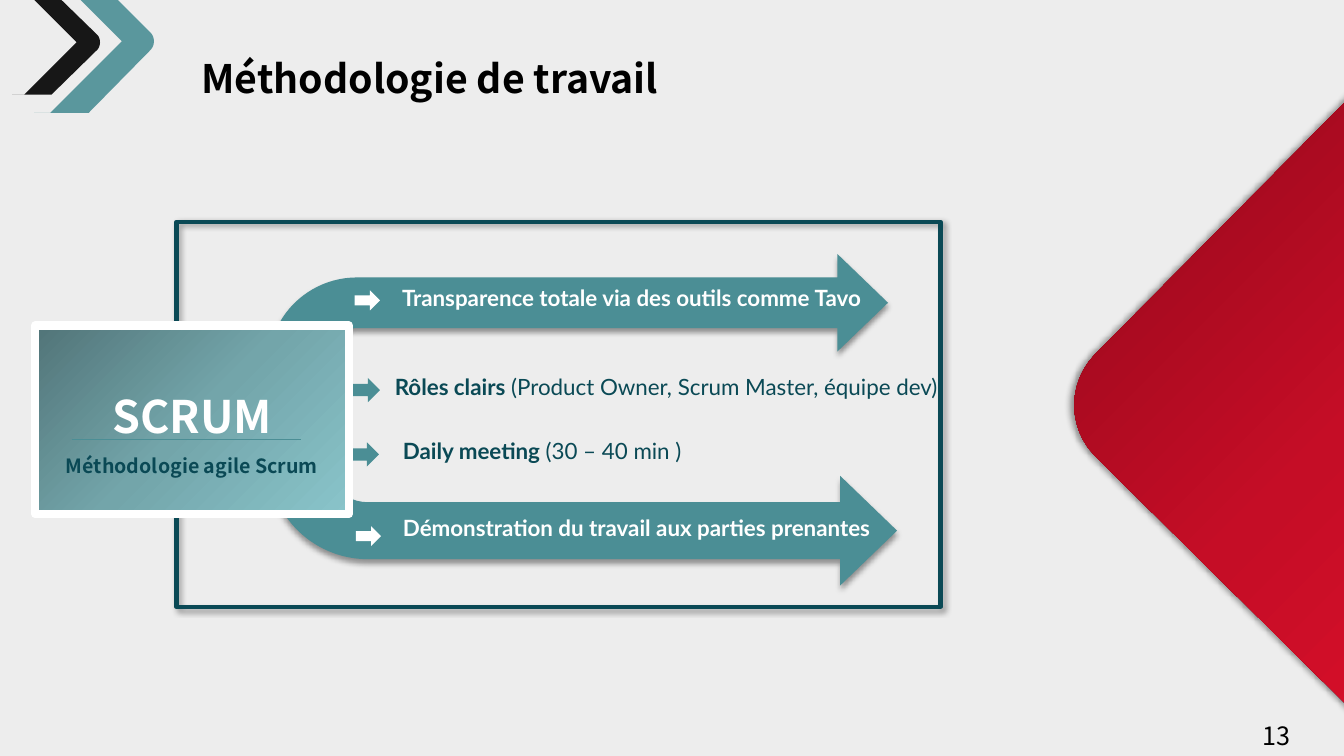
import pptx
import pptx.util
import pptx.dml.color
import pptx.enum.shapes
import pptx.enum.text
import pptx.oxml
import pptx.oxml.ns

Pt = pptx.util.Pt
KIND = pptx.enum.shapes.MSO_SHAPE
ALIGN = pptx.enum.text.PP_ALIGN
MIDDLE = pptx.enum.text.MSO_ANCHOR.MIDDLE
TOP = pptx.enum.text.MSO_ANCHOR.TOP
qn = pptx.oxml.ns.qn
SANS, LATO = "Noto Sans CJK SC", "Lato"
TEAL, NAVY, WHITE, BLACK = "4B8E95", "0A4955", "FFFFFF", "000000"


def color(code):
    return pptx.dml.color.RGBColor.from_string(code)


def node(tag, **attrs):
    item = pptx.oxml.parse_xml(f'<a:{tag} {pptx.oxml.ns.nsdecls("a")}/>')
    for name, value in attrs.items():
        item.set(name, str(value))
    return item


def tint(code, alpha):
    item = node("srgbClr", val=code)
    item.append(node("alpha", val=alpha * 1000))
    return item


def paint(shape, fill=None, alpha=100, line=None, width=0):
    shape.shadow.inherit = False
    if fill:
        shape.fill.solid()
        shape.fill.fore_color.rgb = color(fill)
        if alpha < 100:
            base = shape._element.spPr.find(qn("a:solidFill"))
            base.replace(base[0], tint(fill, alpha))
    else:
        shape.fill.background()
    if line:
        shape.line.color.rgb = color(line)
        shape.line.width = Pt(width)
    else:
        shape.line.fill.background()


def blend(shape, codes, angle):
    shape.fill.gradient()
    grad = shape._element.spPr.find(qn("a:gradFill"))
    for child in list(grad):
        grad.remove(child)
    stops = node("gsLst")
    for index, code in enumerate(codes):
        stop = node("gs", pos=index * 100000 // (len(codes) - 1))
        stop.append(tint(code, 100))
        stops.append(stop)
    grad.append(stops)
    grad.append(node("lin", ang=angle * 60000, scaled=0))


def shade(shape, angle):
    drop = node("outerShdw", blurRad=Pt(4), dist=Pt(3), dir=angle * 60000,
                algn="ctr", rotWithShape=0)
    drop.append(tint(BLACK, 40))
    shape._element.spPr.find(qn("a:effectLst")).append(drop)


def block(slide, kind, box, **look):
    shape = slide.shapes.add_shape(kind, *map(Pt, box))
    paint(shape, **look)
    return shape


def bend(slide, box, flip=False):
    shape = block(slide, KIND.BENT_ARROW, box, fill=TEAL)
    for index, value in enumerate((0.25, 0.241, 0.25, 0.438)):
        shape.adjustments[index] = value
    if flip:
        shape._element.spPr.find(qn("a:xfrm")).set("flipV", "1")
    shade(shape, 90)


def chevron(slide, head, pulls, tail, **look):
    knots = (head[-1], *pulls, tail[0])
    curve = []
    for step in range(1, 12):
        t = step / 12
        parts = ((1 - t) ** 3, 3 * t * (1 - t) ** 2, 3 * t * t * (1 - t), t ** 3)
        curve.append([sum(w * k[axis] for w, k in zip(parts, knots)) for axis in (0, 1)])
    dots = [(Pt(x), Pt(y)) for x, y in [*head, *curve, *tail]]
    path = slide.shapes.build_freeform(*dots[0])
    path.add_line_segments(dots[1:], close=True)
    shape = path.convert_to_shape()
    paint(shape, **look)
    return shape


def style(run, font, size, code, bold):
    run.font.name = font
    run.font.size = Pt(size)
    run.font.color.rgb = color(code)
    run.font.bold = bold


def label(slide, box, text, code, font=LATO, size=16, bold=True, rest=""):
    shape = slide.shapes.add_textbox(*map(Pt, box))
    frame = shape.text_frame
    frame.text = text
    frame.word_wrap = True
    para = frame.paragraphs[0]
    style(para.runs[0], font, size, code, bold)
    if rest:
        run = para.add_run()
        run.text = rest
        style(run, font, size, code, False)


def heading(slide):
    title = slide.shapes.title
    title.left, title.top, title.width, title.height = map(Pt, (136.8, 35.3, 366, 41))
    frame = title.text_frame
    frame.text = "Méthodologie de travail"
    frame.auto_size = pptx.enum.text.MSO_AUTO_SIZE.NONE
    frame.word_wrap = False
    frame.vertical_anchor = TOP
    para = frame.paragraphs[0]
    para.alignment = ALIGN.LEFT
    style(para.runs[0], SANS, 28, BLACK, True)


def card(slide):
    shape = block(slide, KIND.RECTANGLE, (25.2, 232.6, 223.9, 134.6), line=WHITE, width=6)
    blend(shape, ("517478", "73A5AA", "89C4CA"), 45)
    frame = shape.text_frame
    frame.text = "SCRUM\nMéthodologie agile Scrum"
    frame.word_wrap = True
    frame.vertical_anchor = MIDDLE
    for para, size, code in zip(frame.paragraphs, (32, 14), (WHITE, NAVY)):
        para.alignment = ALIGN.CENTER
        para.line_spacing = 1.5
        style(para.runs[0], SANS, size, code, True)


def rule(slide, left, right, top):
    line = slide.shapes.add_connector(
        pptx.enum.shapes.MSO_CONNECTOR.STRAIGHT, Pt(left), Pt(top), Pt(right), Pt(top))
    line.line.color.rgb = color(TEAL)
    line.line.width = Pt(1)
    line._element.spPr.append(node("effectLst"))


def main():
    deck = pptx.Presentation()
    deck.slide_width, deck.slide_height = Pt(960), Pt(540)
    slide = deck.slides.add_slide(deck.slide_layouts[5])
    slide.background.fill.solid()
    slide.background.fill.fore_color.rgb = color("EDEDED")

    for left, top in ((236.2, 316), (236.9, 270)):
        block(slide, KIND.RIGHT_ARROW, (left, top, 34.5, 17.3), fill=TEAL)
    bend(slide, (191.5, 255.6, 449.3, 162.7), flip=True)
    bend(slide, (191.5, 181.4, 442.8, 144.7))

    wedge = chevron(
        slide, [(1192.3, 556.6), (1064.9, 557.3), (1016.6, 557.3), (781.9, 325.4)],
        [(762.5, 305.3), (762.5, 273.6)],
        [(781.9, 253.4), (1015.9, 17.3), (1189.4, 16.6), (1190.2, 84.2),
         (987.8, 288), (1191.6, 490.3)])
    blend(wedge, ("8A091A", "C50D26", "E9102D"), 45)
    shade(wedge, 180)
    heading(slide)
    chevron(slide, [(24.5, 80.6), (63.4, 80.6), (107.3, 36)],
            [(110.9, 32.4), (110.9, 26.6)],
            [(107.3, 23), (84.2, 0), (57.6, 0), (87.1, 29.5), (36, 80.6)],
            fill=TEAL, alpha=90)
    chevron(slide, [(36.7, 67.7), (69.8, 35.3)], [(72, 32.4), (72, 28.1)],
            [(69.8, 25.2), (43.9, 0), (24.5, 0), (54.7, 30.2), (17.3, 67.7), (8.6, 67.7)],
            fill=BLACK, alpha=90)

    frame = block(slide, KIND.RECTANGLE, (126, 158.4, 545.8, 275), line=NAVY, width=3)
    shade(frame, 45)
    card(slide)
    rule(slide, 51.1, 215.3, 313.9)

    label(slide, (280.1, 199.4, 357.8, 26.6),
          "Transparence totale via des outils comme\u00a0Tavo", WHITE)
    label(slide, (275, 262.8, 434.2, 26.6), "Rôles clairs", NAVY,
          rest="\u00a0(Product Owner, Scrum Master, équipe dev)")
    label(slide, (280.8, 308.9, 434.2, 26.6), "Daily meeting ", NAVY, rest="(30 – 40 min )")
    label(slide, (280.8, 363.6, 434.2, 26.6),
          "Démonstration du travail aux parties prenantes", WHITE)
    for left, top in ((253.4, 207.4), (254.2, 375.8)):
        block(slide, KIND.RIGHT_ARROW, (left, top, 18, 14.4), fill=WHITE)
    label(slide, (895, 511.2, 45.4, 28.8), "13", BLACK, font=SANS, size=18, bold=False)
    deck.save("out.pptx")


if __name__ == "__main__":
    main()
